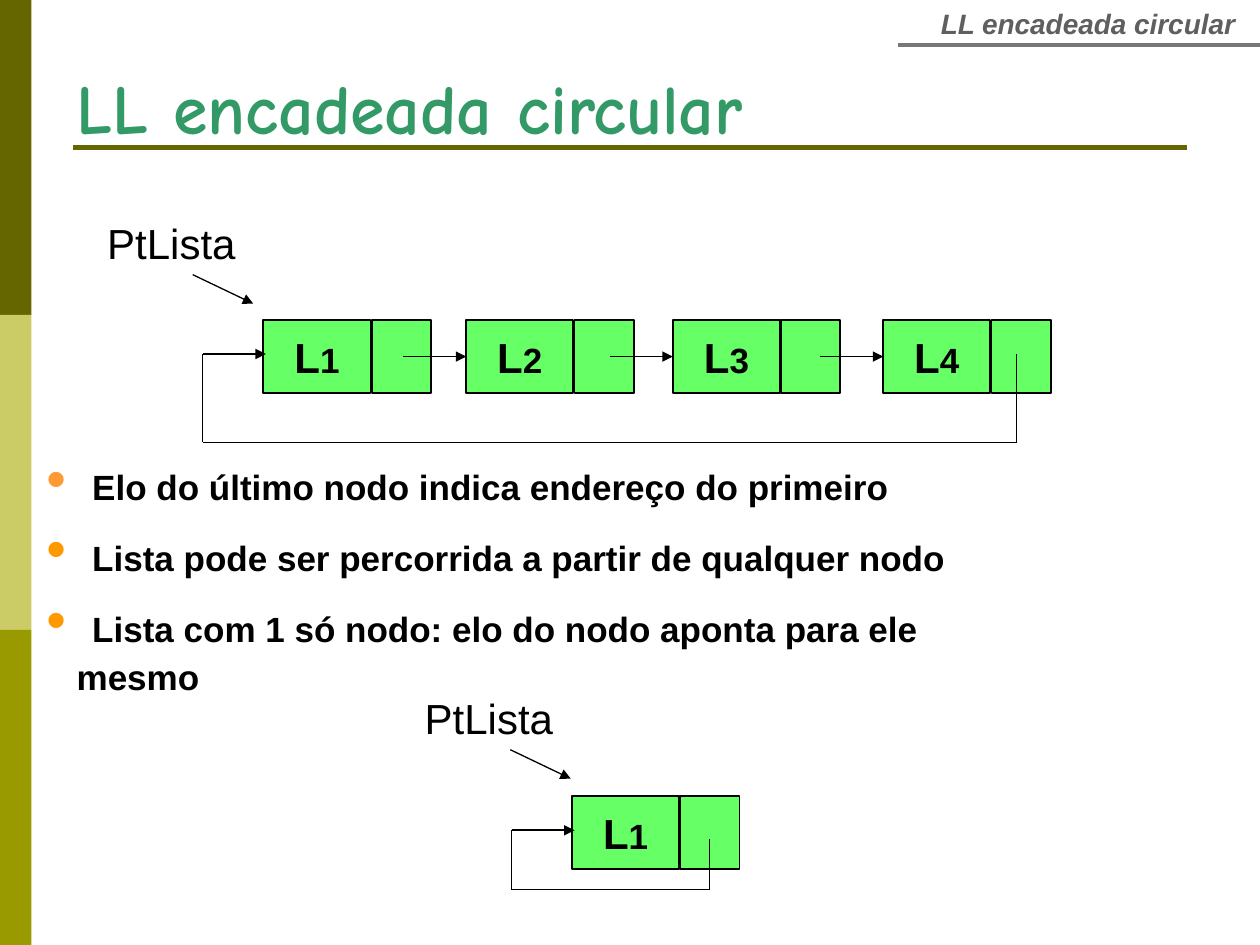
"""Build the slide about circular linked lists."""
from dataclasses import dataclass

import pptx
import pptx.dml.color
import pptx.enum.shapes
import pptx.enum.text
import pptx.oxml.ns
import pptx.util
from lxml import etree

Inches, Pt = pptx.util.Inches, pptx.util.Pt
ALIGN, ANCHOR = pptx.enum.text.PP_ALIGN, pptx.enum.text.MSO_ANCHOR
DATA_W, LINK_W, NODE_H = 0.85, 0.47, 0.58
NODE_FILL, BLACK = "66FF66", "000000"


@dataclass
class Node:
    label: str
    x: float
    y: float


@dataclass
class Loop:
    left: float
    right: float
    entry_y: float
    exit_y: float
    bottom: float


def rgb(value):
    return pptx.dml.color.RGBColor.from_string(value)


def sub(parent, tag, **attrs):
    el = etree.SubElement(parent, pptx.oxml.ns.qn(tag))
    for key, value in attrs.items():
        el.set(key, value)
    return el


def add_run(p, text: str, color: str, **formats) -> None:
    r = p.add_run()
    r.text = text
    r.font.color.rgb = rgb(color)
    for key, value in ({"name": "Arial"} | formats).items():
        setattr(r.font, key, value)


def set_frame(sp, wrap: bool, anchor):
    tf = sp.text_frame
    formats = {"word_wrap": wrap, "vertical_anchor": anchor,
               "auto_size": pptx.enum.text.MSO_AUTO_SIZE.NONE,
               "margin_left": Inches(0.1), "margin_right": Inches(0.1),
               "margin_top": Inches(0.05), "margin_bottom": Inches(0.05)}
    for key, value in formats.items():
        setattr(tf, key, value)
    return tf


def add_rect(s, x: float, y: float, w: float, h: float, fill: str, outline=None):
    sp = s.shapes.add_shape(pptx.enum.shapes.MSO_SHAPE.RECTANGLE,
                            Inches(x), Inches(y), Inches(w), Inches(h))
    sp.shadow.inherit = False
    sp.fill.solid()
    sp.fill.fore_color.rgb = rgb(fill)
    if outline:
        sp.line.color.rgb = rgb(outline)
        sp.line.width = Pt(1)
    else:
        sp.line.fill.background()
    return sp


def add_line(s, x1: float, y1: float, x2: float, y2: float,
             color: str = BLACK, width: float = 0.75, arrow: bool = False):
    cx = s.shapes.add_connector(pptx.enum.shapes.MSO_CONNECTOR.STRAIGHT,
                                Inches(x1), Inches(y1), Inches(x2), Inches(y2))
    cx.line.color.rgb = rgb(color)
    cx.line.width = Pt(width)
    if arrow:
        sub(cx.line._get_or_add_ln(), "a:tailEnd", type="triangle")
    sub(cx._element.spPr, "a:effectLst")
    return cx


def add_label(s, x: float, y: float, w: float, h: float, text: str,
              anchor, color: str, **formats) -> None:
    sp = s.shapes.add_textbox(Inches(x), Inches(y), Inches(w), Inches(h))
    p = set_frame(sp, False, anchor).paragraphs[0]
    p.alignment = ALIGN.CENTER
    add_run(p, text, color, **formats)


def add_node(s, node: Node):
    sp = add_rect(s, node.x, node.y, DATA_W, NODE_H, NODE_FILL, BLACK)
    p = set_frame(sp, False, ANCHOR.MIDDLE).paragraphs[0]
    p.alignment = ALIGN.CENTER
    for text, size in zip(node.label, (24, 20)):
        add_run(p, text, BLACK, size=Pt(size), bold=True)
    add_rect(s, node.x + DATA_W + 0.01, node.y, LINK_W, NODE_H, NODE_FILL, BLACK)
    return sp


def add_list(s, nodes: list[Node], loop: Loop) -> None:
    shapes = [add_node(s, node) for node in nodes]
    for node, sp in zip(nodes[1:], shapes[1:]):
        mid = node.y + NODE_H / 2
        cx = add_line(s, node.x - 0.5, mid, node.x, mid, width=1, arrow=True)
        cx.end_connect(sp, 1)
    add_line(s, loop.right, loop.exit_y, loop.right, loop.bottom)
    add_line(s, loop.left, loop.bottom, loop.right, loop.bottom)
    add_line(s, loop.left, loop.entry_y, loop.left, loop.bottom)
    add_line(s, loop.left, loop.entry_y, loop.left + 0.5, loop.entry_y,
             width=1, arrow=True)


def add_pointer(s, x: float, y: float) -> None:
    add_label(s, x, y, 1.22, 0.5, "PtLista", ANCHOR.MIDDLE, BLACK, size=Pt(24))
    add_line(s, x + 0.78, y + 0.5, x + 1.26, y + 0.73, arrow=True)


def add_bullets(s, items: list[tuple[str, str]]) -> None:
    tf = set_frame(add_rect(s, 0.27, 3.67, 8.07, 1.7, "FFFFFF"), True, ANCHOR.MIDDLE)
    for i, (color, text) in enumerate(items):
        p = tf.add_paragraph() if i else tf.paragraphs[0]
        p.alignment = ALIGN.LEFT
        p.line_spacing = 1.05
        pPr = p._p.get_or_add_pPr()
        pPr.set("marL", str(Inches(0.24)))
        pPr.set("indent", str(Inches(-0.24)))
        sub(pPr, "a:buFont", typeface="Arial")
        sub(pPr, "a:buChar", char="•")
        add_run(p, " ", color, size=Pt(32), bold=True)
        add_run(p, text, BLACK, size=Pt(20), bold=True)


def add_title(s, text: str) -> None:
    sp = s.shapes.title
    box = {"left": 0.51, "top": 0.46, "width": 6.08, "height": 0.77}
    for key, value in box.items():
        setattr(sp, key, Inches(value))
    p = set_frame(sp, False, ANCHOR.TOP).paragraphs[0]
    p.alignment = ALIGN.LEFT
    add_run(p, text, "339966", name="Comic Neue", size=Pt(40), bold=True)


def main() -> None:
    prs = pptx.Presentation()
    prs.slide_width, prs.slide_height = Inches(10), Inches(7.5)
    s = prs.slides.add_slide(prs.slide_layouts[5])
    for i, color in enumerate(("666600", "CCCC66", "999900")):
        add_rect(s, 0, 2.5 * i, 0.25, 2.5, color)
    add_line(s, 0.58, 1.17, 9.42, 1.17, "666600", 3)
    add_label(s, 7.36, 0, 2.55, 0.37, "LL encadeada circular", ANCHOR.TOP,
              "5F5F5F", size=Pt(16), bold=True, italic=True)
    add_line(s, 7.13, 0.36, 10, 0.36, "777777", 2.25)
    add_title(s, "LL encadeada circular")
    nodes = [Node(f"L{i}", x, 2.54)
             for i, x in enumerate((2.09, 3.7, 5.34, 7.01), 1)]
    add_list(s, nodes, Loop(1.61, 8.07, 2.81, 2.81, 3.51))
    add_pointer(s, 0.75, 1.68)
    add_bullets(s, [
        ("FF9933", "Elo do último nodo indica endereço do primeiro"),
        ("FF9900", "Lista pode ser percorrida a partir de qualquer nodo"),
        ("FF9900", "Lista com 1 só nodo: elo do nodo aponta para ele mesmo"),
    ])
    add_list(s, [Node("L1", 4.54, 6.32)], Loop(4.06, 5.63, 6.59, 6.66, 7.06))
    add_pointer(s, 3.27, 5.45)
    prs.save("out.pptx")


if __name__ == "__main__":
    main()
